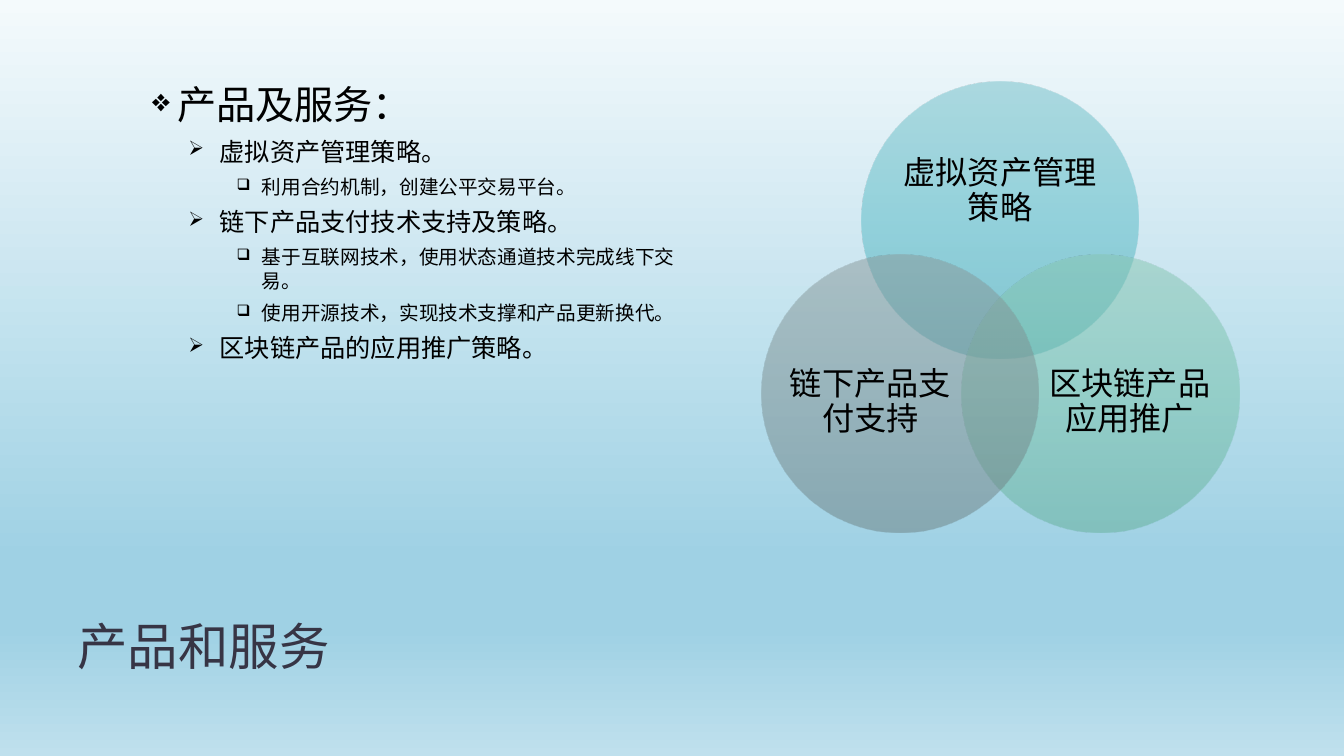
import math
import pptx
import pptx.util
import pptx.dml.color
import pptx.enum.shapes
import pptx.enum.text
import pptx.oxml
import pptx.oxml.ns

FONT = "Noto Sans CJK SC"
WIDTH, HEIGHT = 13.33, 7.5
INK, TITLE_INK = "000000", "373545"
SKY = [(0, "F4FAFC"), (74, "9FD1E4"), (83, "9FD1E4"), (100, "BFE0ED")]

TITLE = "产品和服务"
OUTLINE = [
    (0, "产品及服务："),
    (1, "虚拟资产管理策略。"),
    (2, "利用合约机制，创建公平交易平台。"),
    (1, "链下产品支付技术支持及策略。"),
    (2, "基于互联网技术，使用状态通道技术完成线下交易。"),
    (2, "使用开源技术，实现技术支撑和产品更新换代。"),
    (1, "区块链产品的应用推广策略。"),
]
# bullet, text size, space before, left margin, hanging indent
LEVELS = [("❖", 28, 18, 0.25, 0.25), ("➢", 18, 6, 0.67, 0.31), ("❑", 14, 6, 1.09, 0.25)]

# label, gradient colours, label size, label shift from the circle's centre
CIRCLES = [
    ("虚拟资产管理策略", ("6FBEC7", "53BAC5", "44AAB5"), (2.02, 1.24), (0, -0.28)),
    ("区块链产品应用推广", ("86C5B1", "71C1A8", "61AF97"), (1.65, 1.51), (0.29, 0.09)),
    ("链下产品支付支持", ("89999A", "798D8F", "6A7E80"), (1.65, 1.51), (-0.29, 0.09)),
]
DIAMETER = 2.75
VENN_X, VENN_Y, VENN_RADIUS = 9.92, 3.33, 1.15


def rgb(color):
    return pptx.dml.color.RGBColor.from_string(color)


def xml(text):
    return pptx.oxml.parse_xml(text.replace(
        "/>", f' {pptx.oxml.ns.nsdecls("a")}/>', 1))


def set_gradient(fill, element, stops, alpha=100):
    """Fill from top to bottom with (percent, colour) stops."""
    fill.gradient()
    fill.gradient_angle = 270
    stop_list = next(element.iter(pptx.oxml.ns.qn("a:gsLst")))
    for old in list(stop_list):
        stop_list.remove(old)
    for percent, color in stops:
        gs = xml(f'<a:gs pos="{percent * 1000}"/>')
        clr = xml(f'<a:srgbClr val="{color}"/>')
        if alpha < 100:
            clr.append(xml(f'<a:alpha val="{alpha * 1000}"/>'))
        gs.append(clr)
        stop_list.append(gs)


def write(p, text, size, color=INK):
    p.add_run().text = text
    p.font.size = pptx.util.Pt(size)
    p.font.name = FONT
    p.font.color.rgb = rgb(color)
    latin = next(p.font._element.iter(pptx.oxml.ns.qn("a:latin"))) if hasattr(p.font, "_element") \
        else next(p._p.iter(pptx.oxml.ns.qn("a:latin")))
    latin.addnext(xml(f'<a:ea typeface="{FONT}"/>'))


def add_text_frame(slide, x, y, w, h, anchor):
    tf = slide.shapes.add_textbox(*map(pptx.util.Inches, (x, y, w, h))).text_frame
    tf.word_wrap = True
    tf.vertical_anchor = anchor
    return tf


def add_outline(slide):
    tf = add_text_frame(slide, 1.41, 0.75, 5.5, 4.58, pptx.enum.text.MSO_ANCHOR.TOP)
    for i, (level, text) in enumerate(OUTLINE):
        bullet, size, before, margin, hanging = LEVELS[level]
        p = tf.add_paragraph() if i else tf.paragraphs[0]
        p.level = level
        p.space_before = pptx.util.Pt(before)
        write(p, text, size)
        pPr = p._p.get_or_add_pPr()
        pPr.set("marL", str(pptx.util.Inches(margin)))
        pPr.set("indent", str(-pptx.util.Inches(hanging)))
        defaults = pPr.find(pptx.oxml.ns.qn("a:defRPr"))
        bullet_color = xml("<a:buClr/>")
        bullet_color.append(xml(f'<a:srgbClr val="{INK}"/>'))
        for item in (bullet_color, xml('<a:buSzPct val="80000"/>'),
                     xml(f'<a:buChar char="{bullet}"/>')):
            defaults.addprevious(item)


def add_venn(slide):
    for i, (label, colors, (w, h), (dx, dy)) in enumerate(CIRCLES):
        angle = math.radians(120 * i - 90)
        cx = VENN_X + VENN_RADIUS * math.cos(angle)
        cy = VENN_Y + VENN_RADIUS * math.sin(angle)
        box = (cx - DIAMETER / 2, cy - DIAMETER / 2, DIAMETER, DIAMETER)
        sp = slide.shapes.add_shape(pptx.enum.shapes.MSO_SHAPE.OVAL,
                                    *map(pptx.util.Inches, box))
        sp.shadow.inherit = False
        sp.line.fill.background()
        set_gradient(sp.fill, sp.element, list(zip((0, 50, 100), colors)), alpha=50)
        tf = add_text_frame(slide, cx + dx - w / 2, cy + dy - h / 2, w, h,
                            pptx.enum.text.MSO_ANCHOR.MIDDLE)
        tf.margin_left = tf.margin_right = tf.margin_top = tf.margin_bottom = 0
        p = tf.paragraphs[0]
        p.alignment = pptx.enum.text.PP_ALIGN.CENTER
        p.line_spacing = 0.9
        write(p, label, 23)


def main():
    prs = pptx.Presentation()
    prs.slide_width = pptx.util.Inches(WIDTH)
    prs.slide_height = pptx.util.Inches(HEIGHT)
    slide = prs.slides.add_slide(prs.slide_layouts[6])
    set_gradient(slide.background.fill, slide.element, SKY)
    tf = add_text_frame(slide, 0.67, 5.58, 12, 1.17, pptx.enum.text.MSO_ANCHOR.BOTTOM)
    write(tf.paragraphs[0], TITLE, 36, TITLE_INK)
    add_outline(slide)
    add_venn(slide)
    prs.save("out.pptx")


if __name__ == "__main__":
    main()
